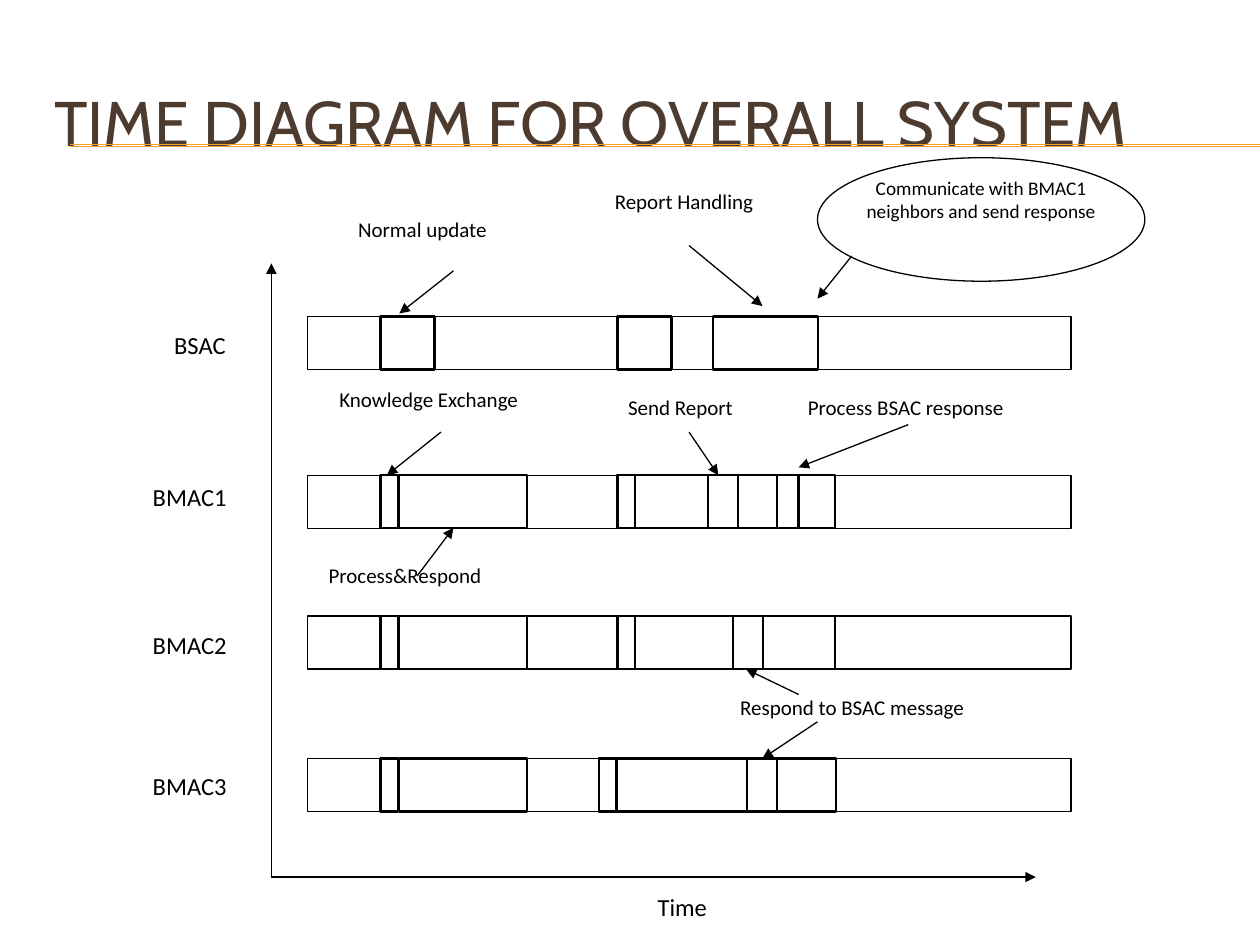
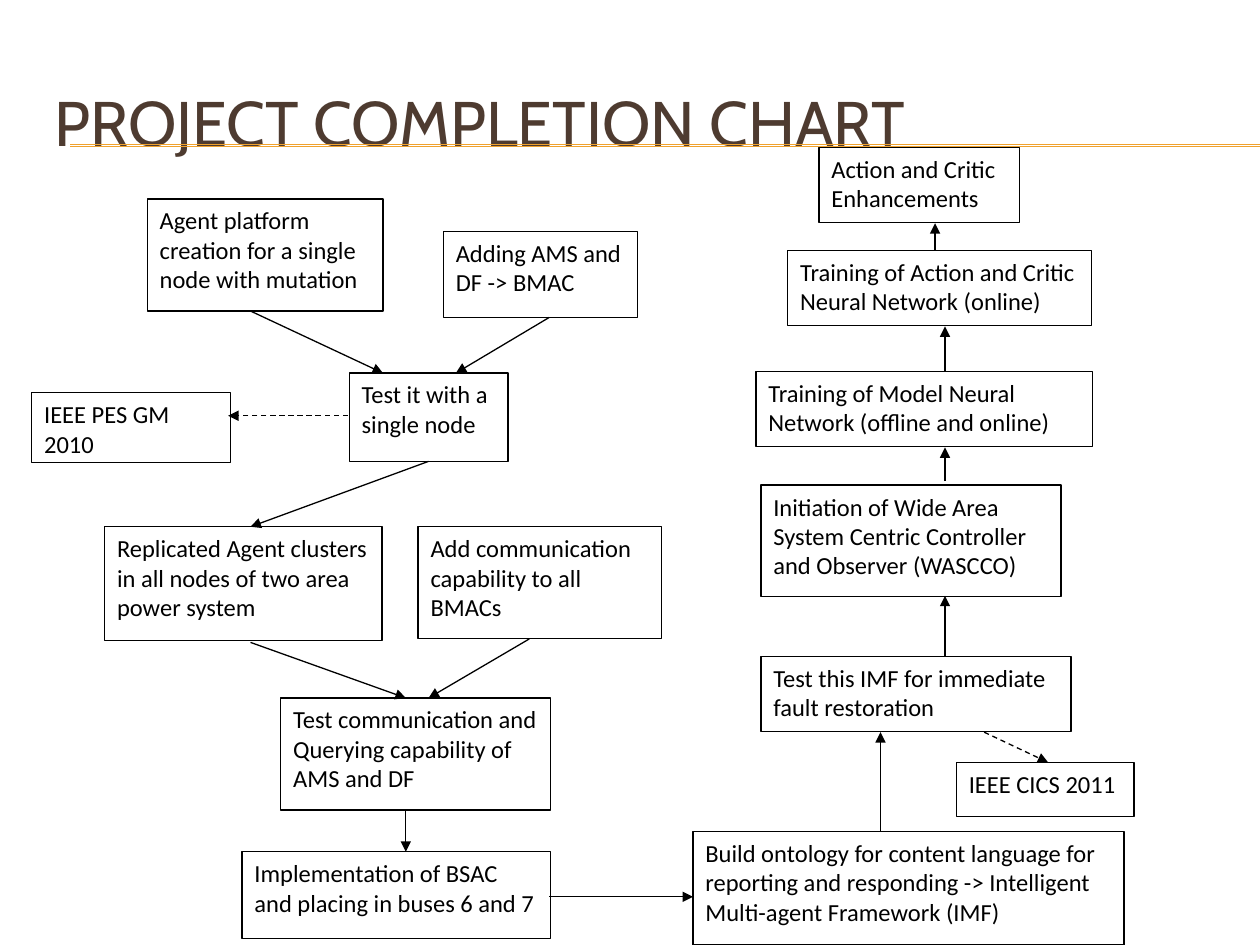
from dataclasses import dataclass

from lxml import etree
from pptx import Presentation
from pptx.dml.color import RGBColor
from pptx.enum.dml import MSO_LINE
from pptx.enum.shapes import MSO_CONNECTOR, MSO_SHAPE
from pptx.enum.text import MSO_ANCHOR, MSO_AUTO_SIZE, PP_ALIGN
from pptx.oxml.ns import qn
from pptx.util import Cm, Pt

RECTANGLE = MSO_SHAPE.RECTANGLE
ELLIPSE = MSO_SHAPE.OVAL
STRAIGHT = MSO_CONNECTOR.STRAIGHT
DASH = MSO_LINE.DASH
LEFT, CENTER = PP_ALIGN.LEFT, PP_ALIGN.CENTER
TOP, MIDDLE = MSO_ANCHOR.TOP, MSO_ANCHOR.MIDDLE
FIXED_SIZE = MSO_AUTO_SIZE.NONE

BLACK, WHITE = "000000", "FFFFFF"
TITLE_BROWN, RULE_ORANGE = "4E3B30", "F0A22E"
TITLE_FONT, BODY_FONT = "Cabin", "Calibri"
TITLE_ONLY = 5
MARGIN_X, MARGIN_Y = 0.25, 0.13

# All coordinates below are centimetres.
TRACK_LEFT, TRACK_WIDTH, TRACK_HEIGHT = 6.2, 15.39, 1.07
ROW_LABEL_RIGHT = 5.11
LABEL_HEIGHT = 0.91


@dataclass(frozen=True)
class Box:
    """A rectangle or ellipse that holds text."""
    text: str
    left: float
    top: float
    width: float
    height: float = LABEL_HEIGHT
    size: float = 14
    align: PP_ALIGN = LEFT
    line: str = BLACK
    inset: bool = True
    kind: MSO_SHAPE = RECTANGLE


@dataclass(frozen=True)
class Arrow:
    x1: float
    y1: float
    x2: float
    y2: float
    dashed: bool = False


@dataclass(frozen=True)
class Track:
    """One agent's bar on the time axis; blocks are (left, width) pairs."""
    agent: str
    top: float
    label_top: float
    label_width: float
    blocks: tuple


def caption(text: str, left: float, top: float, width: float,
            height: float = LABEL_HEIGHT, size: float = 12, inset: bool = False) -> Box:
    """A centred label without a visible outline."""
    return Box(text, left, top, width, height, size, CENTER, WHITE, inset)


SLIVER = 0.36
EXCHANGE = ((8.05, 2.57), (7.67, SLIVER))
REPORT = ((12.45, 4.39), (12.45, SLIVER))

TRACKS = (
    Track("BSAC", 6.38, 6.53, 2.16, ((7.67, 1.09), (12.45, 1.09), (14.38, 2.11))),
    Track("BMAC1", 9.58, 9.58, 2.57, EXCHANGE + REPORT + ((14.27, 0.61), (15.67, 0.43))),
    Track("BMAC2", 12.42, 12.57, 2.57, EXCHANGE + REPORT + ((14.78, 0.61),)),
    Track("BMAC3", 15.29, 15.42, 2.57,
          EXCHANGE + ((12.07, 4.78), (12.07, SLIVER), (15.06, 0.61))),
)

EVENT_LABELS = (
    caption("Normal update", 6.32, 4.24, 4.39, inset=True),
    caption("Report Handling", 11.48, 3.68, 4.62, inset=True),
    caption("Knowledge Exchange", 6.32, 7.8, 4.65),
    caption("Send Report", 12.07, 7.95, 3.3),
    caption("Process BSAC response", 15.67, 7.95, 5.18),
    caption("Process&Respond", 5.84, 11.35, 4.65),
    caption("Respond to BSAC message", 14.27, 14, 5.82),
    caption("Time", 12.47, 17.98, 2.57, height=0.84, size=14),
    Box("Communicate with BMAC1 neighbors and send response", 16.48, 3.18, 6.6, 2.49,
        size=11, align=CENTER, inset=False, kind=ELLIPSE),
)

TIME_AXES = (
    Arrow(5.47, 17.68, 5.47, 5.31),
    Arrow(5.47, 17.68, 20.88, 17.68),
)

EVENT_ARROWS = (
    Arrow(9.14, 5.46, 8.05, 6.32),
    Arrow(13.89, 4.95, 15.37, 6.17),
    Arrow(17.17, 5.16, 16.48, 6.02),
    Arrow(8.89, 8.71, 7.8, 9.58),
    Arrow(13.89, 8.71, 14.48, 9.58),
    Arrow(18.31, 8.56, 16.1, 9.42),
    Arrow(8.41, 11.61, 9.14, 10.64),
    Arrow(16.1, 14, 15.04, 13.49),
    Arrow(16.48, 14.55, 15.37, 15.29),
)

PROJECT_STEPS = (
    Box("Agent platform creation for a single node with mutation", 2.97, 4.01, 4.75, 2.26),
    Box("Adding AMS and DF -> BMAC", 8.94, 4.67, 3.91, 1.73),
    Box("Test it with a single node", 7.04, 7.52, 3.2, 1.78),
    Box("IEEE PES GM 2010", 0.64, 7.92, 4.01, 1.4),
    Box("Replicated Agent clusters in all nodes of two area power system",
        2.11, 10.62, 5.59, 2.29),
    Box("Add communication capability to all BMACs", 8.43, 10.62, 4.9, 2.26),
    Box("Test communication and Querying capability of AMS and DF",
        5.66, 14.07, 5.44, 2.26),
    Box("Implementation of BSAC and placing in buses 6 and 7", 4.88, 17.17, 6.22, 1.75),
    Box("Build ontology for content language for reporting and responding -> "
        "Intelligent Multi-agent Framework (IMF)", 13.97, 16.76, 8.69, 2.29),
    Box("Test this IMF for immediate fault restoration", 15.34, 13.23, 6.25, 1.52),
    Box("IEEE CICS 2011", 19.28, 15.37, 3.58, 1.09),
    Box("Initiation of Wide Area System Centric Controller and Observer (WASCCO)",
        15.34, 9.78, 6.05, 2.24),
    Box("Training of Model Neural Network (offline and online)", 15.24, 7.49, 6.78, 1.52),
    Box("Training of Action and Critic Neural Network (online)", 15.88, 5.05, 6.12, 1.52),
    Box("Action and Critic Enhancements", 16.51, 2.97, 4.04, 1.52),
)

PROJECT_ARROWS = (
    Arrow(5.05, 6.27, 7.72, 7.52),
    Arrow(11.07, 6.4, 9.19, 7.52),
    Arrow(7.01, 8.38, 4.6, 8.38, dashed=True),
    Arrow(8.64, 9.3, 5.05, 10.62),
    Arrow(5.05, 12.95, 8.18, 14.07),
    Arrow(10.67, 12.88, 8.64, 14.07),
    Arrow(8.18, 16.33, 8.18, 17.17),
    Arrow(11.07, 18.08, 13.97, 18.08),
    Arrow(17.75, 16.76, 17.75, 14.76),
    Arrow(19.84, 14.76, 21.13, 15.37, dashed=True),
    Arrow(19.05, 13.23, 19.05, 12.01),
    Arrow(19.05, 9.7, 19.05, 9.02),
    Arrow(19.05, 7.49, 19.05, 6.58),
    Arrow(18.85, 5.05, 18.85, 4.5),
)


def rgb(hex_color: str) -> RGBColor:
    return RGBColor.from_string(hex_color)


def write_text(shape, text: str, *, size: float, font: str = BODY_FONT,
               color: str = BLACK, align: PP_ALIGN = LEFT, anchor: MSO_ANCHOR = TOP,
               space_after: float = 10, inset: bool = True) -> None:
    frame = shape.text_frame
    frame.word_wrap = True
    frame.auto_size = FIXED_SIZE
    frame.vertical_anchor = anchor
    frame.margin_left = frame.margin_right = Cm(MARGIN_X if inset else 0)
    frame.margin_top = frame.margin_bottom = Cm(MARGIN_Y if inset else 0)
    para = frame.paragraphs[0]
    para.alignment = align
    para.space_after = Pt(space_after)
    span = para.add_run()
    span.text = text
    span.font.size = Pt(size)
    span.font.name = font
    span.font.color.rgb = rgb(color)


def add_outline(page, left: float, top: float, width: float, height: float,
                line: str = BLACK, weight: float = 0.75, kind: MSO_SHAPE = RECTANGLE):
    """Add a white shape with a coloured outline."""
    shape = page.shapes.add_shape(kind, Cm(left), Cm(top), Cm(width), Cm(height))
    shape.shadow.inherit = False
    shape.fill.solid()
    shape.fill.fore_color.rgb = rgb(WHITE)
    shape.line.color.rgb = rgb(line)
    shape.line.width = Pt(weight)
    return shape


def add_box(page, box: Box) -> None:
    shape = add_outline(page, box.left, box.top, box.width, box.height,
                        line=box.line, kind=box.kind)
    write_text(shape, box.text, size=box.size, align=box.align, inset=box.inset)


def add_line(page, x1: float, y1: float, x2: float, y2: float, color: str = BLACK):
    line = page.shapes.add_connector(STRAIGHT, Cm(x1), Cm(y1), Cm(x2), Cm(y2))
    line.line.color.rgb = rgb(color)
    line.line.width = Pt(0.75)
    etree.SubElement(line._element.spPr, qn("a:effectLst"))
    return line


def add_arrow(page, arrow: Arrow) -> None:
    line = add_line(page, arrow.x1, arrow.y1, arrow.x2, arrow.y2)
    if arrow.dashed:
        line.line.dash_style = DASH
    outline = line._element.spPr.find(qn("a:ln"))
    etree.SubElement(outline, qn("a:tailEnd"), type="triangle")


def add_track(page, track: Track) -> None:
    add_outline(page, TRACK_LEFT, track.top, TRACK_WIDTH, TRACK_HEIGHT)
    for left, width in track.blocks:
        add_outline(page, left, track.top, width, TRACK_HEIGHT, weight=1.25)
    label_left = ROW_LABEL_RIGHT - track.label_width
    add_box(page, caption(track.agent, label_left, track.label_top, track.label_width,
                          size=14, inset=True))


def add_page(deck, title: str):
    """Add a slide with the shared title style and double rule."""
    page = deck.slides.add_slide(deck.slide_layouts[TITLE_ONLY])
    for rule_top in (2.92, 2.95):
        add_line(page, 1.42, rule_top, 25.4, rule_top, RULE_ORANGE)
    heading = page.shapes.title
    heading.left, heading.top = Cm(0.84), Cm(1.27)
    heading.width, heading.height = Cm(24.13), Cm(2.34)
    write_text(heading, title, size=36, font=TITLE_FONT, color=TITLE_BROWN,
               anchor=MIDDLE, space_after=0)
    return page


def build_time_diagram(deck) -> None:
    page = add_page(deck, "TIME DIAGRAM FOR OVERALL SYSTEM")
    for track in TRACKS:
        add_track(page, track)
    for label in EVENT_LABELS:
        add_box(page, label)
    for arrow in TIME_AXES + EVENT_ARROWS:
        add_arrow(page, arrow)


def build_completion_chart(deck) -> None:
    page = add_page(deck, "PROJECT COMPLETION CHART")
    for step in PROJECT_STEPS:
        add_box(page, step)
    for arrow in PROJECT_ARROWS:
        add_arrow(page, arrow)


def main() -> None:
    deck = Presentation()
    deck.slide_width, deck.slide_height = Cm(25.4), Cm(19.05)
    build_time_diagram(deck)
    build_completion_chart(deck)
    deck.save("out.pptx")


if __name__ == "__main__":
    main()
